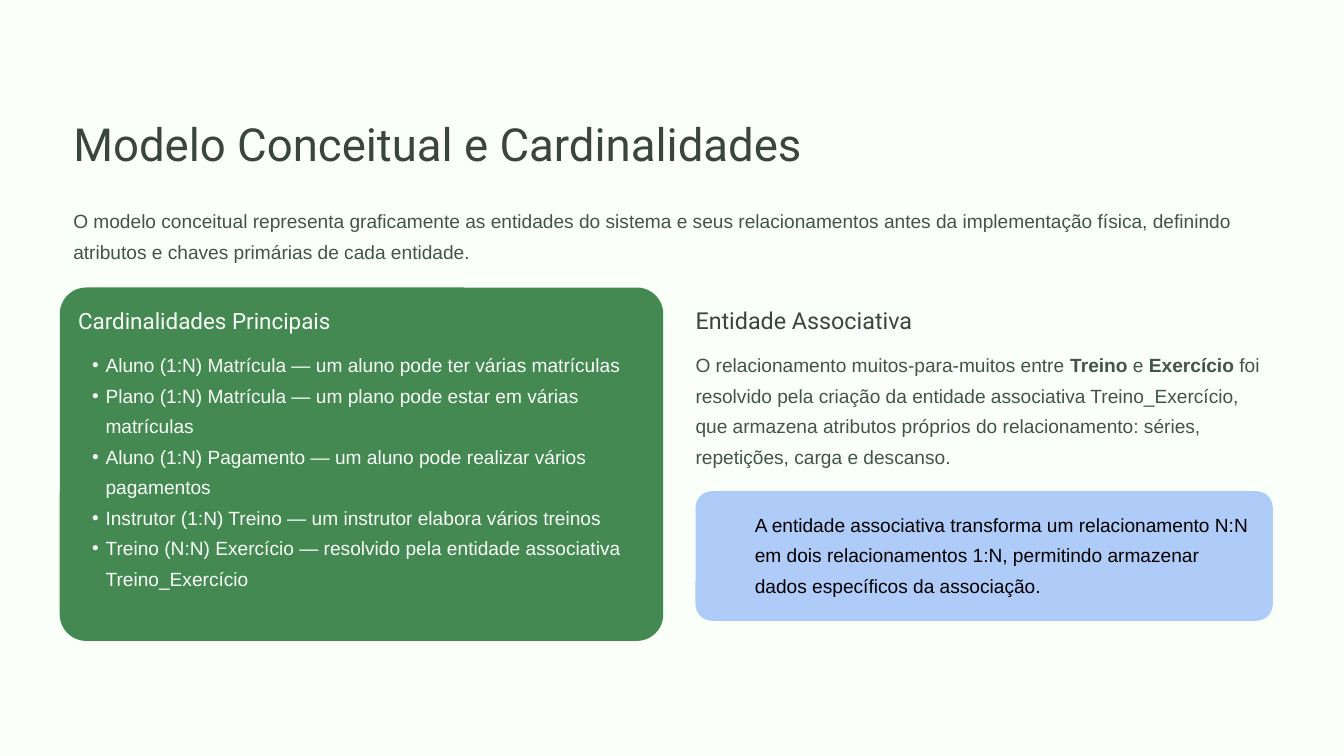
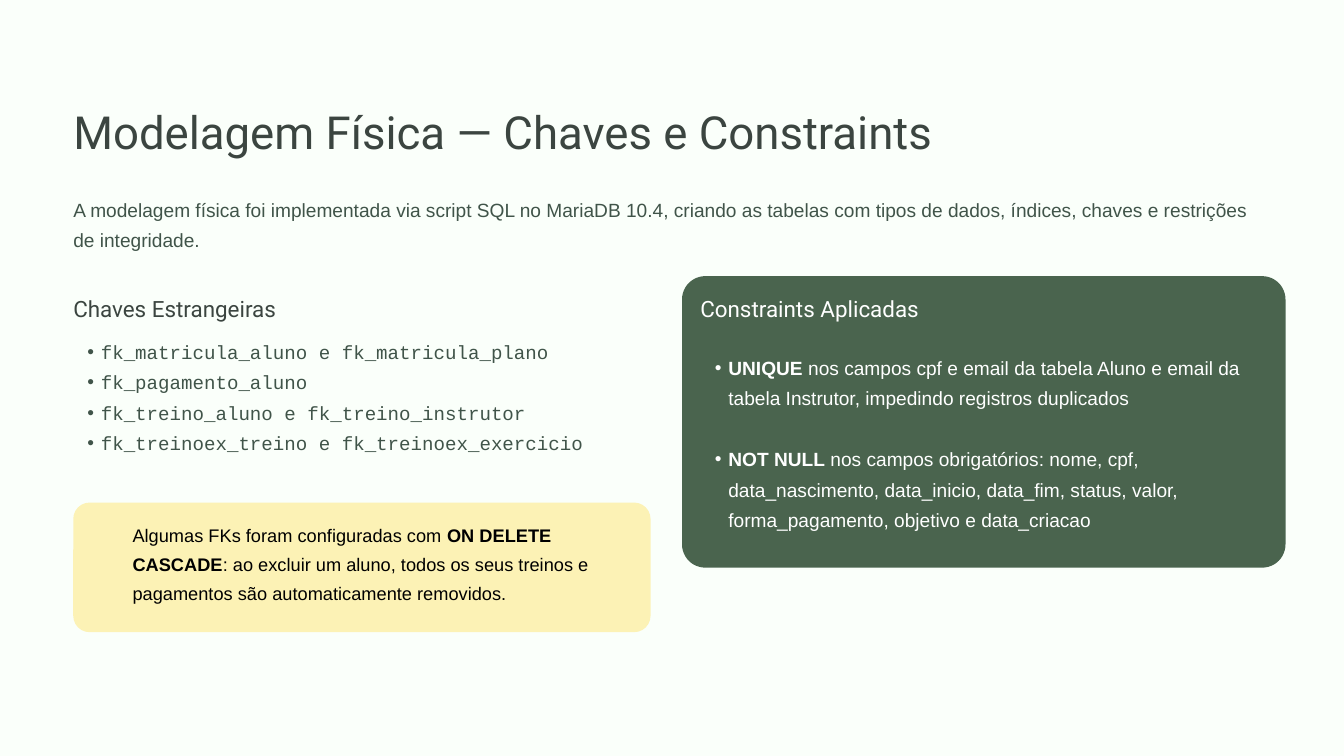
from dataclasses import dataclass, replace

from lxml.etree import SubElement
from pptx import Presentation
from pptx.dml.color import RGBColor
from pptx.enum.shapes import MSO_SHAPE
from pptx.enum.text import MSO_ANCHOR, MSO_AUTO_SIZE, PP_ALIGN
from pptx.oxml.ns import qn
from pptx.util import Cm, Pt

COLORS = {
    "background": "FAFFFA",
    "heading": "3B4540",
    "body": "405449",
    "black": "000000",
    "white": "FFFFFF",
    "green": "438951",
    "dark_green": "4A644E",
    "blue": "AFCBF8",
    "yellow": "FCF2B5",
}

MARGIN = 2.77
COLUMN_WIDTH = 21.82
PANEL_WIDTH = 22.81
PANEL_INSET = 0.69
CALLOUT_HEIGHT = 4.9
INTRO_OFFSET = 3.35


@dataclass(frozen=True)
class Style:
    font: str
    size: float
    color: str
    leading: float


@dataclass(frozen=True)
class Box:
    left: float
    top: float
    width: float
    height: float


@dataclass(frozen=True)
class Callout:
    left: float
    top: float
    color: str
    text: str
    style: Style


@dataclass(frozen=True)
class Panel:
    box: Box
    color: str
    radius: float
    heading: str
    heading_style: Style


TITLE = Style("Roboto", 48.8, "heading", 60.9)
HEADING = Style("Roboto", 24, "heading", 30)
BODY = Style("Arial", 20.5, "body", 32.7)
CODE = replace(BODY, font="Courier New")
NOTE = replace(BODY, color="black")


def rgb(color: str) -> RGBColor:
    return RGBColor.from_string(COLORS[color])


def fill_paragraph(paragraph, text: str, style: Style, bullet: bool) -> None:
    if bullet:
        paragraph.level = 1
        properties = paragraph._p.get_or_add_pPr()
        properties.set("marL", str(Cm(1.04)))
        properties.set("indent", str(Cm(-0.51)))
        SubElement(properties, qn("a:buFont"), typeface="Arial")
        SubElement(properties, qn("a:buChar"), char="•")
    paragraph.alignment = PP_ALIGN.LEFT
    paragraph.line_spacing = Pt(style.leading)
    paragraph.space_before = Pt(0)
    paragraph.font.name = style.font
    paragraph.font.size = Pt(style.size)
    paragraph.font.color.rgb = rgb(style.color)
    for position, part in enumerate(text.split("**")):
        if part:
            run = paragraph.add_run()
            run.text = part
            if position % 2:
                run.font.bold = True


def write(holder, box: Box, texts: list[str], style: Style,
          bullet: bool = False, gap: float = 0) -> None:
    holder.left, holder.top = Cm(box.left), Cm(box.top)
    holder.width, holder.height = Cm(box.width), Cm(box.height)
    frame = holder.text_frame
    frame.word_wrap = True
    frame.auto_size = MSO_AUTO_SIZE.NONE
    frame.vertical_anchor = MSO_ANCHOR.TOP
    frame.margin_left = frame.margin_right = 0
    frame.margin_top = frame.margin_bottom = 0
    for index, text in enumerate(texts):
        paragraph = frame.add_paragraph() if index else frame.paragraphs[0]
        fill_paragraph(paragraph, text, style, bullet)
        if index:
            paragraph.space_before = Pt(gap)


def add_text(slide, box: Box, text: str, style: Style) -> None:
    holder = slide.shapes.add_textbox(0, 0, 0, 0)
    write(holder, box, [text], style)


def add_heading(slide, left: float, top: float, text: str, style: Style) -> None:
    add_text(slide, Box(left, top, 14.5, 1.07), text, style)


def add_card(slide, box: Box, color: str, radius: float) -> None:
    card = slide.shapes.add_shape(
        MSO_SHAPE.ROUNDED_RECTANGLE,
        Cm(box.left), Cm(box.top), Cm(box.width), Cm(box.height),
    )
    card.adjustments[0] = radius / min(box.width, box.height)
    card.fill.solid()
    card.fill.fore_color.rgb = rgb(color)
    card.line.fill.background()
    card.shadow.inherit = False


def add_panel(slide, panel: Panel) -> None:
    add_card(slide, panel.box, panel.color, panel.radius)
    add_heading(slide, panel.box.left + PANEL_INSET, panel.box.top + PANEL_INSET,
                panel.heading, panel.heading_style)


def add_callout(slide, callout: Callout) -> None:
    add_card(slide, Box(callout.left, callout.top, COLUMN_WIDTH, CALLOUT_HEIGHT),
             callout.color, 0.62)
    add_text(slide, Box(callout.left + 2.24, callout.top + 0.55, 18.9, 3.5),
             callout.text, callout.style)


def add_list(slide, index: int, box: Box, items: list[str], style: Style,
             gap: float = 0) -> None:
    holder = slide.placeholders[index]
    slide.shapes._spTree.append(holder._element)
    write(holder, box, items, style, bullet=True, gap=gap)


def start_slide(deck, layout: int, top: float, title: str, intro: str):
    slide = deck.slides.add_slide(deck.slide_layouts[layout])
    write(slide.shapes.title, Box(MARGIN, top, 45.31, 2.21), [title], TITLE)
    add_text(slide, Box(MARGIN, top + INTRO_OFFSET, 45.31, 2.24), intro, BODY)
    return slide


def build_conceptual_model(deck) -> None:
    slide = start_slide(
        deck, 1, 4.29, "Modelo Conceitual e Cardinalidades",
        "O modelo conceitual representa graficamente as entidades do sistema e seus "
        "relacionamentos antes da implementação física, definindo atributos e chaves "
        "primárias de cada entidade.",
    )
    on_green = "background"
    add_panel(slide, Panel(Box(2.26, 10.87, PANEL_WIDTH, 13.36), "green", 1,
                           "Cardinalidades Principais", replace(HEADING, color=on_green)))
    add_list(slide, 1, Box(2.95, 13.08, 21.44, 9.04), [
        "Aluno (1:N) Matrícula — um aluno pode ter várias matrículas",
        "Plano (1:N) Matrícula — um plano pode estar em várias matrículas",
        "Aluno (1:N) Pagamento — um aluno pode realizar vários pagamentos",
        "Instrutor (1:N) Treino — um instrutor elabora vários treinos",
        "Treino (N:N) Exercício — resolvido pela entidade associativa Treino_Exercício",
    ], replace(BODY, color=on_green))

    right = 26.29
    add_heading(slide, right, 11.53, "Entidade Associativa",
                replace(HEADING, size=25, leading=31.2))
    add_text(
        slide, Box(right, 13.08, COLUMN_WIDTH, 4.5),
        "O relacionamento muitos-para-muitos entre **Treino** e **Exercício** foi "
        "resolvido pela criação da entidade associativa Treino_Exercício, que armazena "
        "atributos próprios do relacionamento: séries, repetições, carga e descanso.",
        BODY,
    )
    add_callout(slide, Callout(
        right, 18.57, "blue",
        "A entidade associativa transforma um relacionamento N:N em dois "
        "relacionamentos 1:N, permitindo armazenar dados específicos da associação.",
        NOTE,
    ))


def build_physical_model(deck) -> None:
    slide = start_slide(
        deck, 3, 3.86, "Modelagem Física — Chaves e Constraints",
        "A modelagem física foi implementada via script SQL no MariaDB 10.4, criando as "
        "tabelas com tipos de dados, índices, chaves e restrições de integridade.",
    )
    for unused in (3, 4):
        for holder in list(slide.placeholders):
            if holder.placeholder_format.idx == unused:
                holder._element.getparent().remove(holder._element)
    add_heading(slide, MARGIN, 11.13, "Chaves Estrangeiras", HEADING)
    add_list(slide, 1, Box(MARGIN, 12.57, COLUMN_WIDTH, 4.57), [
        "fk_matricula_aluno e fk_matricula_plano",
        "fk_pagamento_aluno",
        "fk_treino_aluno e fk_treino_instrutor",
        "fk_treinoex_treino e fk_treinoex_exercicio",
    ], CODE)
    add_callout(slide, Callout(
        MARGIN, 19, "yellow",
        "Algumas FKs foram configuradas com **ON DELETE CASCADE**: ao excluir um aluno, "
        "todos os seus treinos e pagamentos são automaticamente removidos.",
        replace(NOTE, size=19.5, leading=31.1),
    ))

    add_panel(slide, Panel(Box(25.78, 10.44, PANEL_WIDTH, 11.02), "dark_green", 0.88,
                           "Constraints Aplicadas", replace(HEADING, color="white")))
    add_list(slide, 2, Box(26.49, 13.18, 20.93, 6.78), [
        "**UNIQUE** nos campos cpf e email da tabela Aluno e email da tabela Instrutor, "
        "impedindo registros duplicados",
        "**NOT NULL** nos campos obrigatórios: nome, cpf, data_nascimento, data_inicio, "
        "data_fim, status, valor, forma_pagamento, objetivo e data_criacao",
    ], replace(BODY, color="white"), gap=BODY.leading)


def main() -> None:
    deck = Presentation()
    deck.slide_width, deck.slide_height = Cm(50.8), Cm(28.58)
    backdrop = deck.slide_master.background.fill
    backdrop.solid()
    backdrop.fore_color.rgb = rgb("background")
    build_conceptual_model(deck)
    build_physical_model(deck)
    deck.save("out.pptx")


if __name__ == "__main__":
    main()
